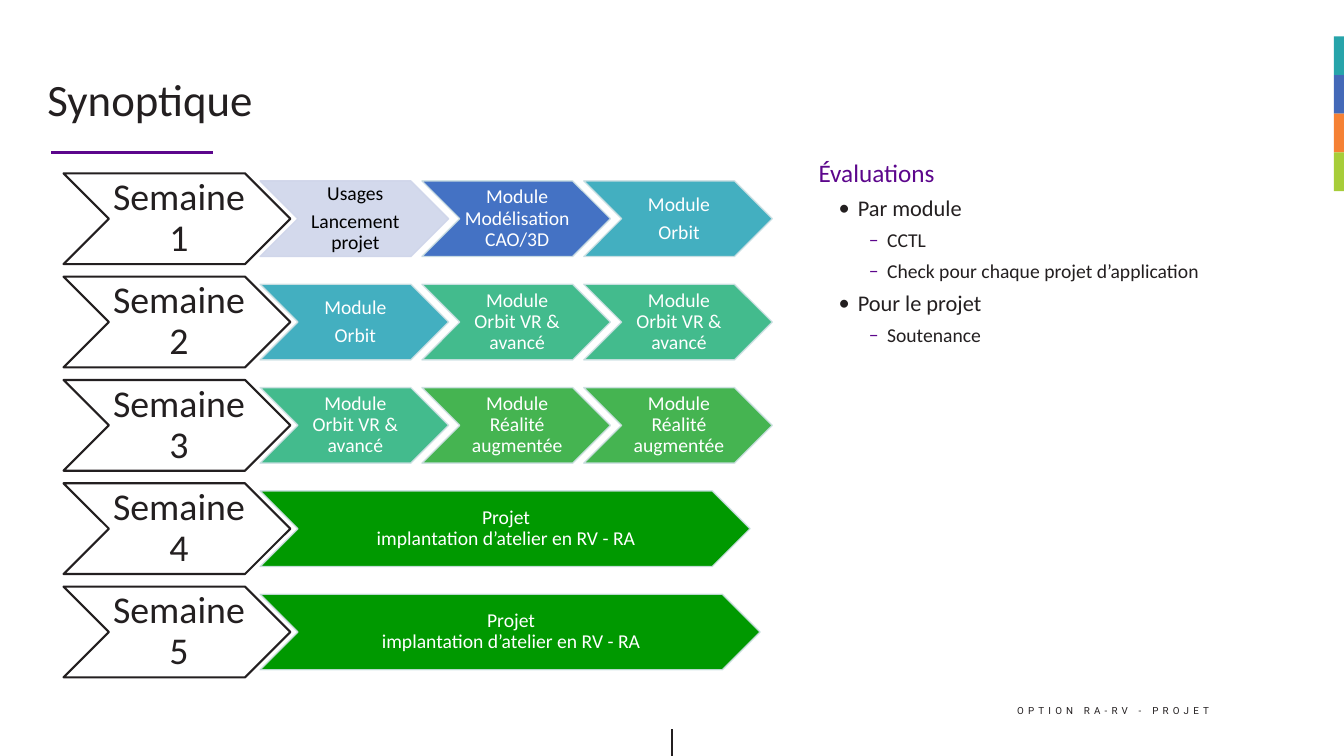
from lxml.etree import SubElement
from pptx import Presentation
from pptx.dml.color import RGBColor
from pptx.enum.shapes import MSO_CONNECTOR, MSO_SHAPE
from pptx.enum.text import MSO_ANCHOR, MSO_AUTO_SIZE, PP_ALIGN
from pptx.oxml.ns import qn
from pptx.util import Inches, Pt

INK = RGBColor(0x23, 0x1F, 0x20)
PURPLE = RGBColor(0x5C, 0x06, 0x8C)
WHITE = RGBColor(0xFF, 0xFF, 0xFF)
BLACK = RGBColor(0x00, 0x00, 0x00)
LAVENDER = RGBColor(0xCF, 0xD5, 0xEA)
PALE = RGBColor(0xCF, 0xE1, 0xE4)
BLUE = RGBColor(0x44, 0x72, 0xC4)
TEAL = RGBColor(0x43, 0xAF, 0xC0)
MINT = RGBColor(0x43, 0xBB, 0x8D)
GREEN = RGBColor(0x45, 0xB4, 0x51)
DEEP_GREEN = RGBColor(0x00, 0x99, 0x00)
TAB_COLORS = [
    RGBColor(0x27, 0xA4, 0xAA),
    RGBColor(0x44, 0x69, 0xB8),
    RGBColor(0xF5, 0x81, 0x34),
    RGBColor(0xA7, 0xCD, 0x39),
]

WIDTH, HEIGHT = 13.33, 7.5
ROW_TOP, ROW_PITCH = 1.72, 1.025
WEEK_LEFT, WEEK_WIDTH, WEEK_HEIGHT = 0.63, 2.25, 0.9
STEP_LEFT, STEP_PITCH, STEP_WIDTH, STEP_HEIGHT = 2.58, 1.605, 1.87, 0.75

deck = Presentation()
deck.slide_width, deck.slide_height = Inches(WIDTH), Inches(HEIGHT)
page = deck.slides.add_slide(deck.slide_layouts[5])


def write(para, text, size, color, font="Calibri"):
    for index, line in enumerate(text.split("\n")):
        if index:
            para.add_line_break()
        span = para.add_run()
        span.text = line
        span.font.name = font
        span.font.size = Pt(size)
        span.font.color.rgb = color
    return span


def add_chevron(left, top, width, height, paragraphs, size, color, inset):
    chevron = page.shapes.add_shape(
        MSO_SHAPE.CHEVRON, Inches(left), Inches(top), Inches(width), Inches(height))
    chevron.shadow.inherit = False
    frame = chevron.text_frame
    frame.word_wrap = True
    frame.vertical_anchor = MSO_ANCHOR.MIDDLE
    frame.margin_left, frame.margin_right = Inches(inset), 0
    frame.margin_top = frame.margin_bottom = Inches(inset / 2)
    for index, text in enumerate(paragraphs):
        para = frame.add_paragraph() if index else frame.paragraphs[0]
        para.alignment = PP_ALIGN.CENTER
        para.line_spacing = 0.9
        para.space_after = Pt(0.35 * size)
        write(para, text, size, color)
    return chevron


rules = [
    (WIDTH / 2, HEIGHT, WIDTH / 2, 7.23, INK, 1),
    (0.51, 1.51, 2.11, 1.51, PURPLE, 2),
]
for x1, y1, x2, y2, color, weight in rules:
    rule = page.shapes.add_connector(
        MSO_CONNECTOR.STRAIGHT, Inches(x1), Inches(y1), Inches(x2), Inches(y2))
    rule.line.color.rgb = color
    rule.line.width = Pt(weight)
    SubElement(rule._element.spPr, qn("a:effectLst"))

for index, color in enumerate(TAB_COLORS):
    tab = page.shapes.add_shape(
        MSO_SHAPE.RECTANGLE, Inches(WIDTH - 0.1), Inches(0.36 + 0.384 * index),
        Inches(0.1), Inches(0.384))
    tab.shadow.inherit = False
    tab.fill.solid()
    tab.fill.fore_color.rgb = color
    tab.line.fill.background()

title = page.shapes.title
title.left, title.top = Inches(0.37), Inches(0.52)
title.width, title.height = Inches(12.6), Inches(0.99)
title.text_frame.auto_size = MSO_AUTO_SIZE.NONE
title.text_frame.vertical_anchor = MSO_ANCHOR.MIDDLE
para = title.text_frame.paragraphs[0]
para.alignment = PP_ALIGN.LEFT
para.line_spacing = 0.9
write(para, "Synoptique", 32, INK)

orbit = ["Module", "Orbit"]
orbit_vr = ["Module\nOrbit VR & avancé"]
augmented = ["Module\nRéalité augmentée"]
project = ["Projet\nimplantation d’atelier en RV - RA"]
weeks = [
    [(["Usages", "Lancement projet"], LAVENDER, STEP_WIDTH),
     (["Module Modélisation CAO/3D"], BLUE, STEP_WIDTH),
     (orbit, TEAL, STEP_WIDTH)],
    [(orbit, TEAL, STEP_WIDTH), (orbit_vr, MINT, STEP_WIDTH), (orbit_vr, MINT, STEP_WIDTH)],
    [(orbit_vr, MINT, STEP_WIDTH), (augmented, GREEN, STEP_WIDTH),
     (augmented, GREEN, STEP_WIDTH)],
    [(project, DEEP_GREEN, 4.86)],
    [(project, DEEP_GREEN, 4.96)],
]
for row, steps in enumerate(weeks):
    top = ROW_TOP + ROW_PITCH * row
    week = add_chevron(WEEK_LEFT, top, WEEK_WIDTH, WEEK_HEIGHT,
                       [f"Semaine {row + 1}"], 27, INK, 0.04)
    week.fill.background()
    week.line.color.rgb = INK
    week.line.width = Pt(1.5)
    for column, (paragraphs, fill, width) in enumerate(steps):
        light = fill == LAVENDER
        step = add_chevron(
            STEP_LEFT + STEP_PITCH * column, top + (WEEK_HEIGHT - STEP_HEIGHT) / 2,
            width, STEP_HEIGHT, paragraphs, 14, BLACK if light else WHITE, 0.02)
        step.fill.solid()
        step.fill.fore_color.rgb = fill
        step.line.color.rgb = LAVENDER if light else PALE
        step.line.width = Pt(1)
        tints = list(step.line._ln.iter(qn("a:srgbClr")))
        if light:
            tints.append(step._element.spPr.find(qn("a:solidFill"))[0])
        for tint in tints:
            SubElement(tint, qn("a:alpha"), val="90000")

box = page.shapes.add_textbox(Inches(7.92), Inches(1.51), Inches(5.04), Inches(5.35))
box.text_frame.word_wrap = True
levels = [
    (0.1, 0.1, None, 18, PURPLE, None),
    (0.49, 0.19, "•", 16, INK, INK),
    (0.78, 0.18, "–", 14, INK, PURPLE),
]
evaluations = [
    (0, "Évaluations"),
    (1, "Par module"),
    (2, "CCTL"),
    (2, "Check pour chaque projet d’application"),
    (1, "Pour le projet"),
    (2, "Soutenance"),
]
for index, (level, text) in enumerate(evaluations):
    margin, hanging, bullet, size, color, bullet_color = levels[level]
    para = box.text_frame.add_paragraph() if index else box.text_frame.paragraphs[0]
    para.level = level
    properties = para._p.get_or_add_pPr()
    properties.set("marL", str(Inches(margin)))
    if bullet:
        properties.set("indent", str(-Inches(hanging)))
        tint = SubElement(properties, qn("a:buClr"))
        SubElement(tint, qn("a:srgbClr"), val=str(bullet_color))
        SubElement(properties, qn("a:buFont"), typeface="Calibri")
        SubElement(properties, qn("a:buChar"), char=bullet)
    if index:
        para.space_before = Pt(5)
    write(para, text, size, color)

footer = page.shapes.add_textbox(Inches(8.19), Inches(6.85), Inches(3.9), Inches(0.4))
footer.text_frame.word_wrap = True
footer.text_frame.vertical_anchor = MSO_ANCHOR.MIDDLE
para = footer.text_frame.paragraphs[0]
para.alignment = PP_ALIGN.RIGHT
span = write(para, "OPTION RA-RV - PROJET", 7, INK, "Roboto")
span.font._element.set("spc", "300")

deck.save("out.pptx")
